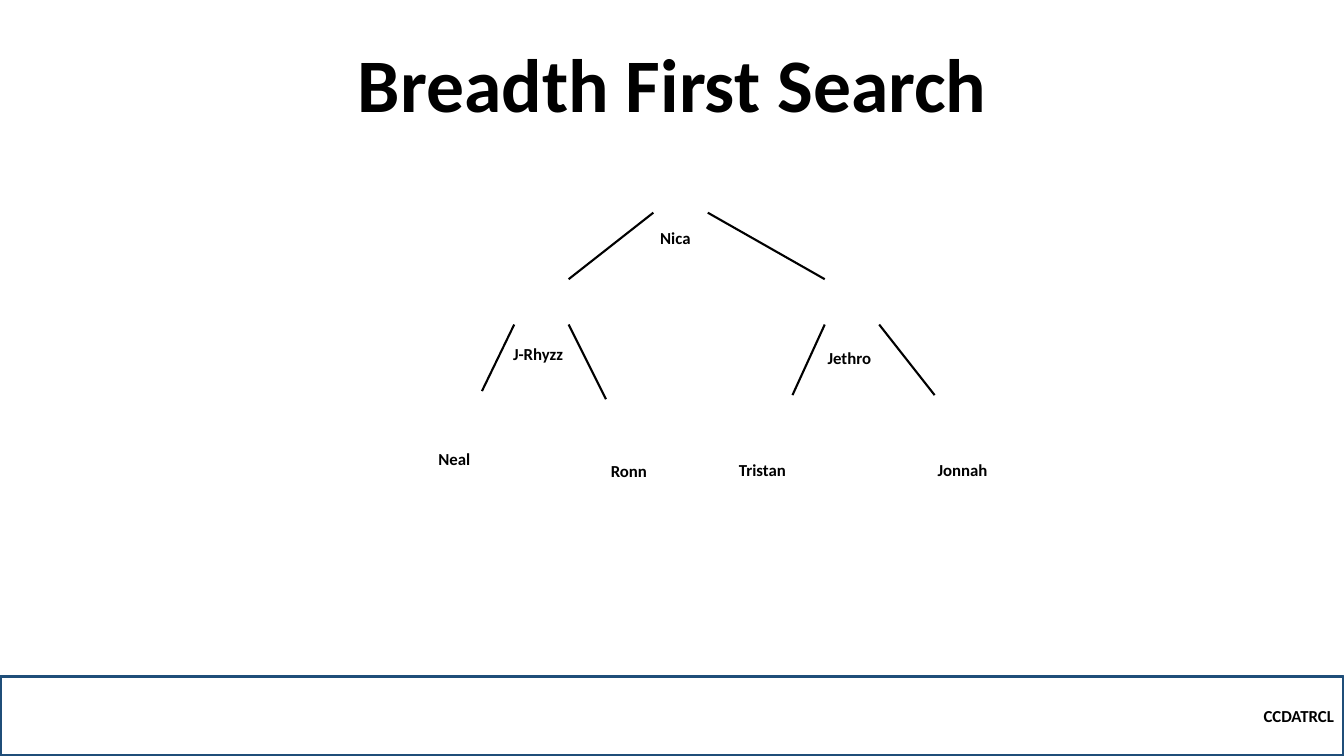
from lxml import etree
from pptx import Presentation
from pptx.dml.color import RGBColor
from pptx.enum.shapes import MSO_CONNECTOR, MSO_SHAPE
from pptx.enum.text import MSO_ANCHOR, MSO_AUTO_SIZE, PP_ALIGN
from pptx.oxml.ns import qn
from pptx.util import Inches, Pt

BLACK = RGBColor(0x00, 0x00, 0x00)
NAVY = RGBColor(0x1F, 0x4E, 0x79)
FONT = "Calibri"
SLIDE_W, SLIDE_H = 13.33, 7.5

# Names: left, top, width, relative to the tree's box
NAMES = {
    "Nica": (2.2, 0.1, 0.6),
    "J-Rhyzz": (0.74, 1.25, 0.76),
    "Jethro": (3.86, 1.29, 0.69),
    "Neal": (0, 2.29, 0.6),
    "Ronn": (1.71, 2.41, 0.6),
    "Tristan": (2.98, 2.4, 0.72),
    "Jonnah": (4.95, 2.4, 0.72),
}
# Branches: parent end x, y, child end x, y, relative to the tree's box
BRANCHES = [
    (2.23, 0, 1.39, 0.66),
    (2.77, 0, 3.93, 0.66),
    (0.85, 1.11, 0.53, 1.77),
    (1.39, 1.11, 1.76, 1.85),
    (3.93, 1.11, 3.61, 1.81),
    (4.47, 1.11, 5.02, 1.81),
]


def write_text(frame, text, size=12, align=PP_ALIGN.LEFT, anchor=MSO_ANCHOR.TOP,
               wrap=True, fit=MSO_AUTO_SIZE.NONE, spacing=1.0):
    frame.word_wrap = wrap
    frame.auto_size = fit
    frame.vertical_anchor = anchor
    paragraph = frame.paragraphs[0]
    paragraph.alignment = align
    paragraph.line_spacing = spacing
    run = paragraph.add_run()
    run.text = text
    run.font.name = FONT
    run.font.size = Pt(size)
    run.font.bold = True
    run.font.color.rgb = BLACK


def place_title(slide, left, top, width, height):
    title = slide.shapes.title
    title.left, title.top = Inches(left), Inches(top)
    title.width, title.height = Inches(width), Inches(height)
    write_text(title.text_frame, "Breadth First Search", size=54,
               align=PP_ALIGN.CENTER, anchor=MSO_ANCHOR.BOTTOM, spacing=0.9)


def draw_footer(slide, left, top, width, height):
    footer = slide.shapes.add_shape(MSO_SHAPE.RECTANGLE, Inches(left), Inches(top),
                                    Inches(width), Inches(height))
    footer.shadow.inherit = False
    footer.fill.background()
    footer.line.color.rgb = NAVY
    footer.line.width = Pt(2.25)
    write_text(footer.text_frame, "CCDATRCL", align=PP_ALIGN.RIGHT,
               anchor=MSO_ANCHOR.MIDDLE)


def draw_tree(slide, left, top):
    # Branches
    for x1, y1, x2, y2 in BRANCHES:
        branch = slide.shapes.add_connector(
            MSO_CONNECTOR.STRAIGHT, Inches(left + x1), Inches(top + y1),
            Inches(left + x2), Inches(top + y2))
        branch.line.color.rgb = BLACK
        branch.line.width = Pt(1.5)
        etree.SubElement(branch._element.spPr, qn("a:effectLst"))
    # Names
    for name, (x, y, width) in NAMES.items():
        label = slide.shapes.add_textbox(Inches(left + x), Inches(top + y),
                                         Inches(width), Inches(0.3))
        write_text(label.text_frame, name, fit=MSO_AUTO_SIZE.SHAPE_TO_FIT_TEXT)


def main():
    deck = Presentation()
    deck.slide_width, deck.slide_height = Inches(SLIDE_W), Inches(SLIDE_H)
    slide = deck.slides.add_slide(deck.slide_layouts[5])
    place_title(slide, 1.67, 0.54, 10, 0.79)
    draw_footer(slide, 0, 6.71, SLIDE_W, 0.79)
    draw_tree(slide, 4.25, 2.11)
    deck.save("out.pptx")


if __name__ == "__main__":
    main()
